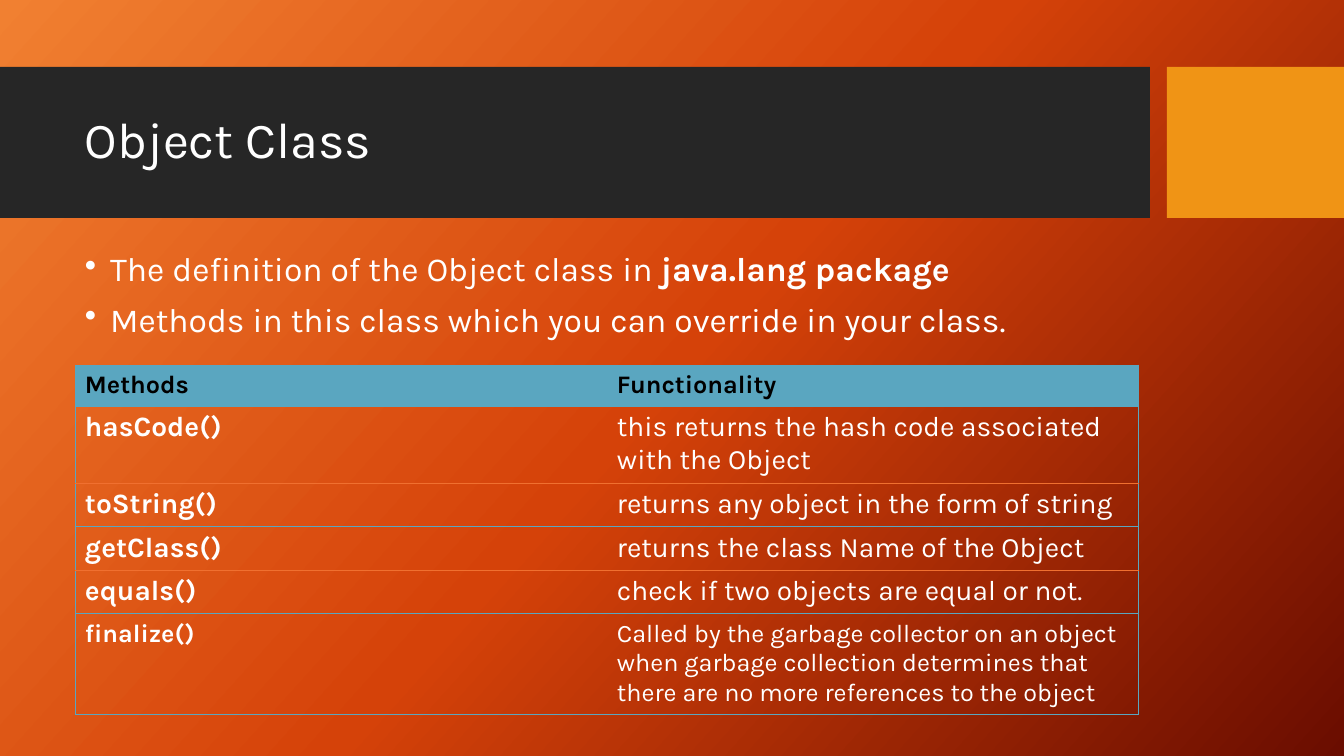
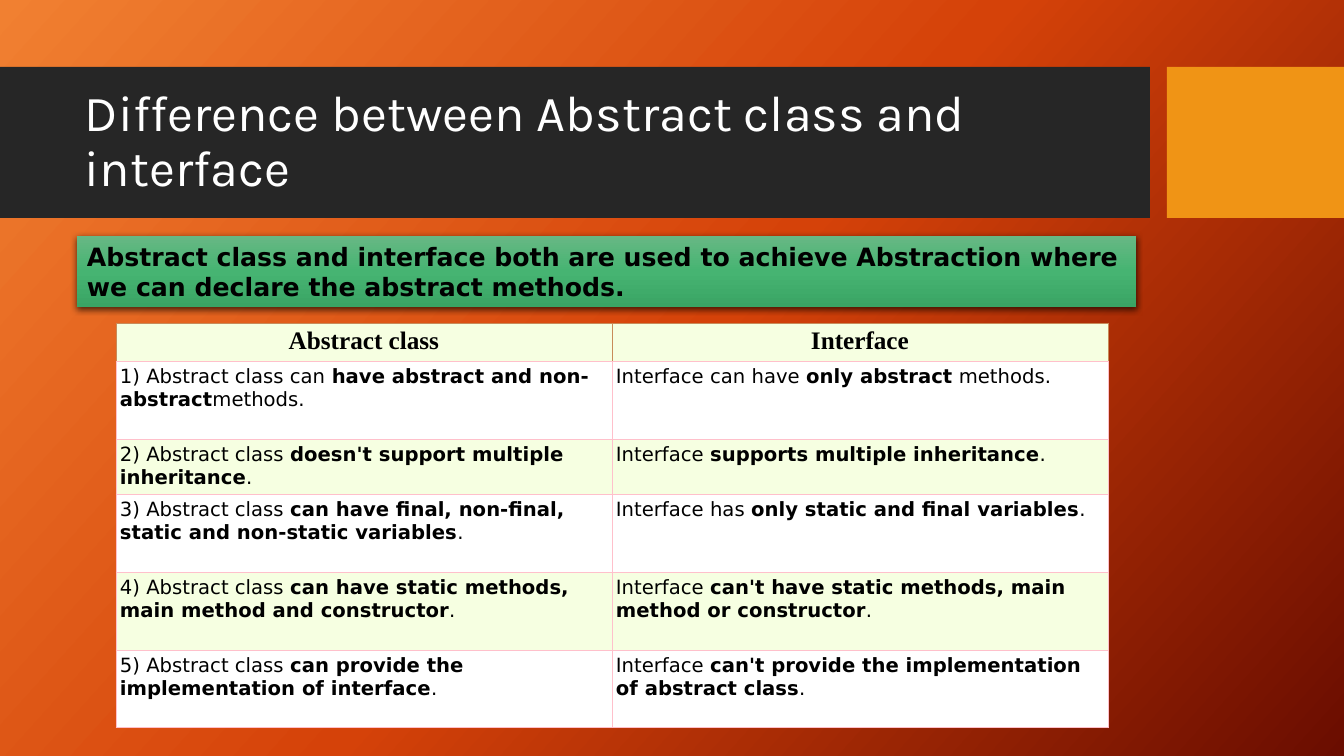
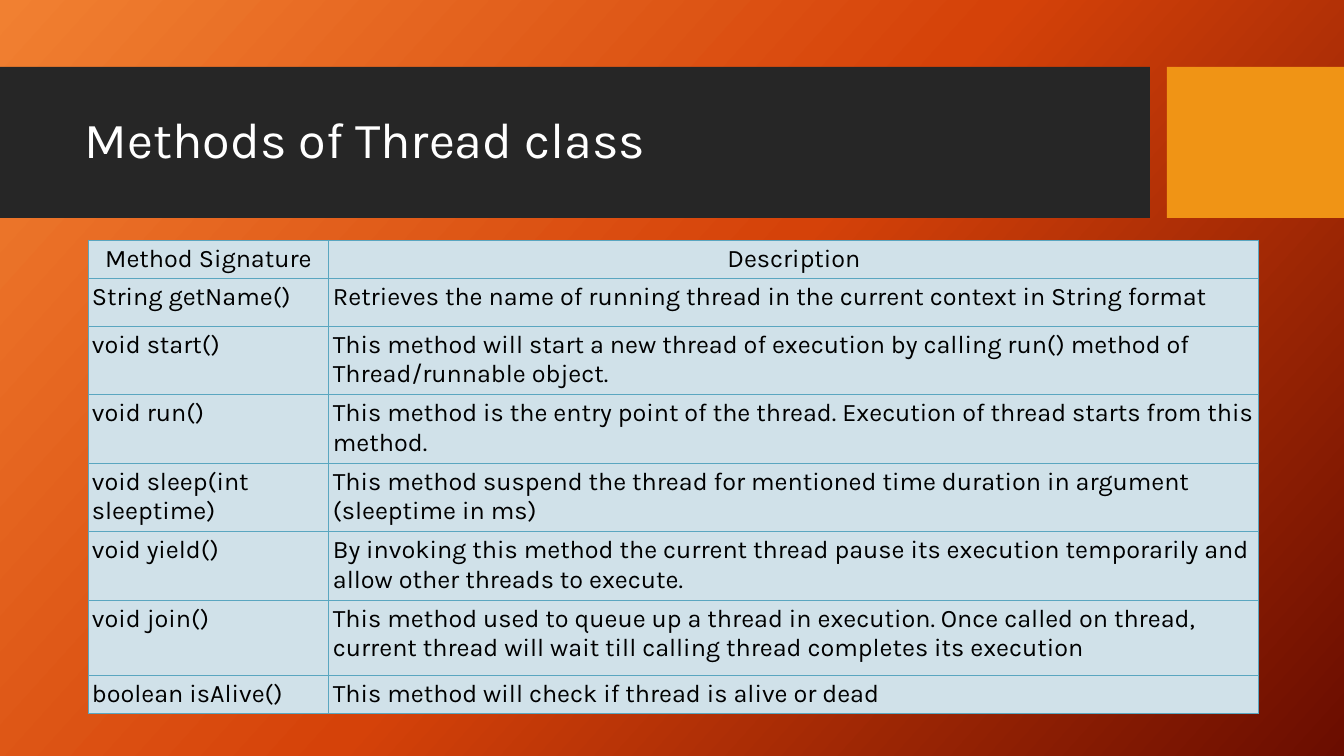
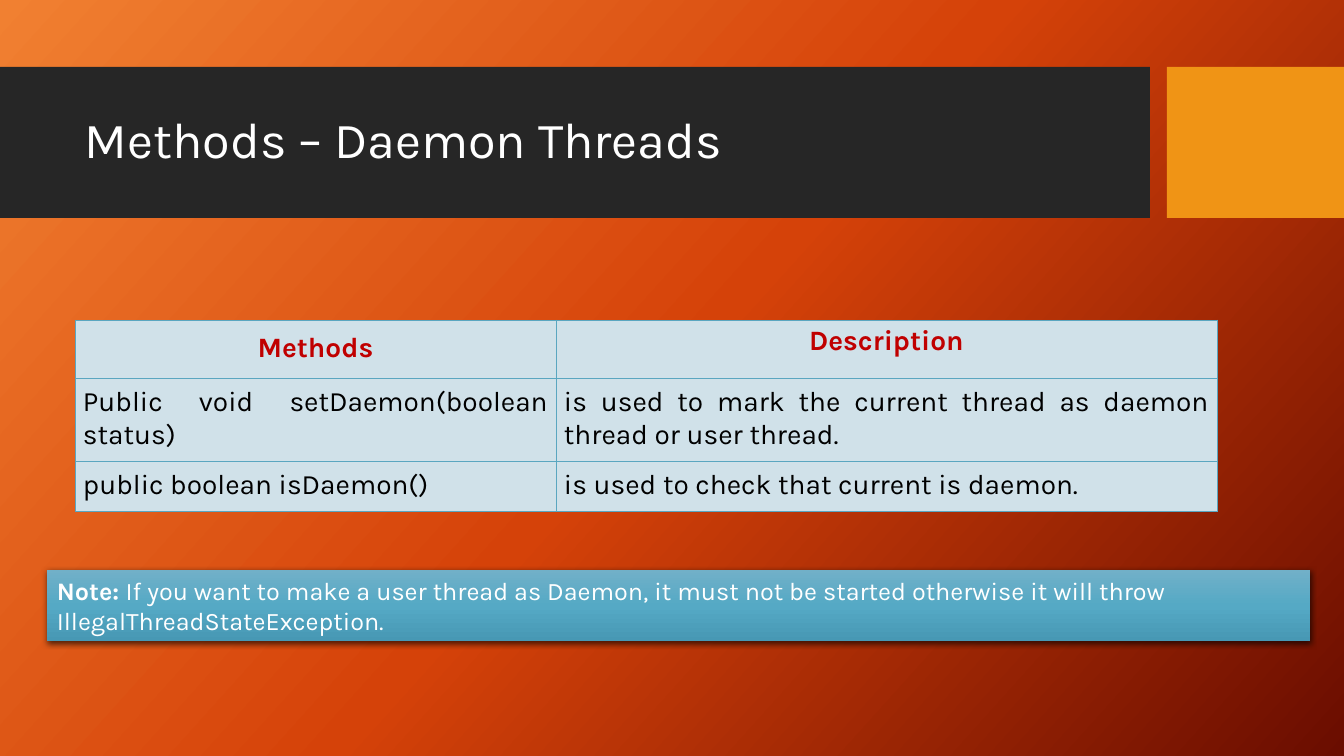
from copy import deepcopy

from lxml import etree
from pptx import Presentation
from pptx.dml.color import RGBColor
from pptx.enum.shapes import MSO_SHAPE
from pptx.enum.text import MSO_ANCHOR, MSO_AUTO_SIZE, PP_ALIGN
from pptx.oxml import parse_xml
from pptx.oxml.ns import nsdecls, qn
from pptx.util import Pt

PX = 914400 / 100.8
RECTANGLE = MSO_SHAPE.RECTANGLE
TOP, MIDDLE = MSO_ANCHOR.TOP, MSO_ANCHOR.MIDDLE
GROW = MSO_AUTO_SIZE.SHAPE_TO_FIT_TEXT
LEFT, CENTER, JUSTIFY = PP_ALIGN.LEFT, PP_ALIGN.CENTER, PP_ALIGN.JUSTIFY

WHITE = RGBColor(0xFF, 0xFF, 0xFF)
BLACK = RGBColor(0x00, 0x00, 0x00)
CHARCOAL = RGBColor(0x26, 0x26, 0x26)
AMBER = RGBColor(0xF0, 0x94, 0x15)
ORANGE = RGBColor(0xF0, 0x70, 0x30)
RED = RGBColor(0xC0, 0x00, 0x00)
BLUE = RGBColor(0x5A, 0xA6, 0xC0)
PALE_BLUE = RGBColor(0xD0, 0xE1, 0xE9)
PALE_GREEN = RGBColor(0xF6, 0xFF, 0xE1)
PINK = RGBColor(0xFF, 0xC0, 0xCB)
BROWN = RGBColor(0xC8, 0x8B, 0x59)
BACKDROP = [RGBColor(0xF1, 0x80, 0x31), RGBColor(0xD5, 0x42, 0x09), RGBColor(0x6A, 0x0D, 0x00)]
GREEN_BAR = [RGBColor(0x67, 0xB8, 0x84), RGBColor(0x46, 0xB4, 0x72), RGBColor(0x3A, 0xA4, 0x64)]
BLUE_BAR = [RGBColor(0x71, 0xB0, 0xC8), RGBColor(0x55, 0xA9, 0xC5), RGBColor(0x47, 0x98, 0xB4)]

KARLA, DEJAVU, TIMES = "Karla", "DejaVu Sans", "Times New Roman"
PLAIN_TABLE_STYLE = "{2D5ABB26-0587-4C30-8999-92F81FD0307C}"

BANDS = [(0, 1150, CHARCOAL), (1167, 177, AMBER)]

# Text between double asterisks is bold. "lines" holds the colours of the
# horizontal rules from top to bottom, "sides" those of the vertical ones by row.
SLIDES = [
    {
        "title": "Object Class",
        "bullets": [
            "The definition of the Object class in **java.lang package**",
            "Methods in this class which you can override in your class.",
        ],
        "at": (75, 365),
        "columns": [532, 532],
        "heights": [41, 76, 43, 43, 43, 98],
        "cells": [
            ("**Methods**", "**Functionality**"),
            ("**hasCode()**", "this returns the hash code associated with the Object"),
            ("**toString()**", "returns any object in the form of string"),
            ("**getClass()**", "returns the class Name of the Object"),
            ("**equals()**", "check if two objects are equal or not."),
            ("**finalize()**", "Called by the garbage collector on an object when garbage collection "
             "determines that there are no more references to the object"),
        ],
        "sizes": [18, 20, 20, 20, 20, 18],
        "header": (KARLA, BLACK, LEFT),
        "body": (KARLA, WHITE, LEFT),
        "fills": [BLUE] + [None] * 5,
        "lines": [BLUE, BLUE, ORANGE, BLUE, ORANGE, BLUE, BLUE],
        "sides": [BLUE] * 6,
        "inner_sides": False,
        "header_insets": [(10, 5), (10, 5)],
        "inset": (10, 5),
    },
    {
        "title": "Difference between Abstract class and interface",
        "at": (116, 323),
        "columns": [496, 496],
        "heights": [38, 78, 55, 78, 78, 77],
        "cells": [
            ("**Abstract class**", "**Interface**"),
            ("1) Abstract class can **have abstract and non-abstract**methods.",
             "Interface can have **only abstract** methods."),
            ("2) Abstract class **doesn't support multiple inheritance**.",
             "Interface **supports multiple inheritance**."),
            ("3) Abstract class **can have final, non-final, static and non-static variables**.",
             "Interface has **only static and final variables**."),
            ("4) Abstract class **can have static methods, main method and constructor**.",
             "Interface **can't have static methods, main method or constructor**."),
            ("5) Abstract class **can provide the implementation of interface**.",
             "Interface **can't provide the implementation of abstract class**."),
        ],
        "sizes": [18] + [14] * 5,
        "header": (TIMES, BLACK, CENTER),
        "body": (DEJAVU, BLACK, LEFT),
        "fills": [PALE_GREEN, WHITE] * 3,
        "lines": [BROWN] + [PINK] * 6,
        "sides": [BROWN] + [PINK] * 5,
        "inner_sides": True,
        "header_insets": [(4, 4), (4, 4)],
        "inset": (4, 4),
        "note": {
            "at": (77, 236, 1059, 71),
            "colors": GREEN_BAR,
            "font": (DEJAVU, BLACK),
            "text": "**Abstract class and interface both are used to achieve Abstraction where "
                    "we can declare the abstract methods.**",
        },
    },
    {
        "title": "Methods of Thread class",
        "at": (88, 240),
        "columns": [241, 930],
        "heights": [37, 48, 67, 67, 66, 67, 75, 37],
        "cells": [
            ("Method Signature", "Description"),
            ("String getName()",
             "Retrieves the name of running thread in the current context in String format"),
            ("void start()", "This method will start a new thread of execution by calling run() "
             "method of Thread/runnable object."),
            ("void run()", "This method is the entry point of the thread. Execution of thread "
             "starts from this method."),
            ("void sleep(int sleeptime)", "This method suspend the thread for mentioned time "
             "duration in argument (sleeptime in ms)"),
            ("void yield()", "By invoking this method the current thread pause its execution "
             "temporarily and allow other threads to execute."),
            ("void join()", "This method used to queue up a thread in execution. Once called on "
             "thread, current thread will wait till calling thread completes its execution"),
            ("boolean isAlive()", "This method will check if thread is alive or dead"),
        ],
        "sizes": [18] * 8,
        "header": (KARLA, BLACK, CENTER),
        "body": (KARLA, BLACK, LEFT),
        "fills": [PALE_BLUE] * 8,
        "lines": [BLUE] * 9,
        "sides": [BLUE] * 8,
        "inner_sides": True,
        "header_insets": [(4, 4), (4, 4)],
        "inset": (4, 4),
    },
    {
        "title": "Methods – Daemon Threads",
        "at": (75, 320),
        "columns": [481, 661],
        "heights": [58, 83, 50],
        "cells": [
            ("**Methods**", "**Description**"),
            ("Public void setDaemon(boolean status)",
             "is used to mark the current thread as daemon thread or user thread."),
            ("public boolean isDaemon()", "is used to check that current is daemon."),
        ],
        "sizes": [20] * 3,
        "header": (KARLA, RED, CENTER),
        "body": (KARLA, BLACK, JUSTIFY),
        "fills": [PALE_BLUE] * 3,
        "lines": [BLUE] * 4,
        "sides": [BLUE] * 3,
        "inner_sides": True,
        "header_insets": [(12, 12), (10, 5)],
        "inset": (8, 8),
        "note": {
            "at": (47, 570, 1263, 71),
            "colors": BLUE_BAR,
            "font": (KARLA, WHITE),
            "text": "**Note: **If you want to make a user thread as Daemon, it must not be started "
                    "otherwise it will throw IllegalThreadStateException.",
        },
    },
]


def write(para, text, size, font, color, align=LEFT):
    """Fill a paragraph; text between double asterisks becomes bold."""
    para.alignment = align
    para.font.size = Pt(size)
    para.font.name = font
    para.font.color.rgb = color
    for number, part in enumerate(text.split("**")):
        if part:
            span = para.add_run()
            span.text = part
            # Runs repeat the paragraph font, which some viewers do not inherit.
            span.font.size, span.font.name = Pt(size), font
            span.font.color.rgb = color
            span.font.bold = number % 2 == 1


def fill_gradient(fill, element, colors, angle):
    """Give three evenly spread stops; the angle runs clockwise."""
    fill.gradient()
    fill.gradient_angle = 360 - angle
    stop_list = element.xpath(".//a:gsLst")[0]
    stop_list.append(deepcopy(stop_list[-1]))
    for stop, color, position in zip(fill.gradient_stops, colors, (0, 0.5, 1)):
        stop.color.rgb = color
        stop.position = position


deck = Presentation()
deck.slide_width, deck.slide_height = int(1344 * PX), int(756 * PX)
master = deck.slide_master
fill_gradient(master.background.fill, master.element, BACKDROP, 42)

for content in SLIDES:
    page = deck.slides.add_slide(deck.slide_layouts[6])

    for left, width, color in BANDS:
        band = page.shapes.add_shape(
            RECTANGLE, *(int(v * PX) for v in (left, 67, width, 151)))
        band.shadow.inherit = False
        band.fill.solid()
        band.fill.fore_color.rgb = color
        band.line.fill.background()

    title = page.shapes.add_textbox(*(int(v * PX) for v in (75, 83, 1059, 119))).text_frame
    title.word_wrap = True
    title.vertical_anchor = MIDDLE
    title.paragraphs[0].line_spacing = 0.9
    write(title.paragraphs[0], content["title"], 36, KARLA, WHITE)

    if "bullets" in content:
        body = page.shapes.add_textbox(*(int(v * PX) for v in (75, 248, 1059, 102))).text_frame
        body.word_wrap = True
        for number, text in enumerate(content["bullets"]):
            para = body.add_paragraph() if number else body.paragraphs[0]
            para.line_spacing = 0.9
            para.space_before = Pt(10)
            write(para, text, 24, KARLA, WHITE)
            properties = para._p.get_or_add_pPr()
            properties.set("marL", "228600")
            properties.set("indent", "-228600")
            bullet = parse_xml(f'<a:buChar {nsdecls("a")} char="•"/>')
            properties.insert_element_before(bullet, "a:tabLst", "a:defRPr", "a:extLst")

    columns, heights, cells = content["columns"], content["heights"], content["cells"]
    size = (sum(columns), sum(heights))
    graphic = page.shapes.add_table(
        len(heights), len(columns), *(int(v * PX) for v in content["at"] + size))
    graphic._element.xpath(".//a:tableStyleId")[0].text = PLAIN_TABLE_STYLE
    table = graphic.table
    table.first_row = table.horz_banding = False
    for column, width in zip(table.columns, columns):
        column.width = int(width * PX)

    for row, height in enumerate(heights):
        table.rows[row].height = int(height * PX)
        font, color, align = content["body"] if row else content["header"]
        side = content["sides"][row]
        inner = side if content["inner_sides"] else None
        for col, text in enumerate(cells[row]):
            cell = table.cell(row, col)
            across, down = content["inset"] if row else content["header_insets"][col]
            cell.margin_left = cell.margin_right = int(across * PX)
            cell.margin_top = cell.margin_bottom = int(down * PX)
            write(cell.text_frame.paragraphs[0], text, content["sizes"][row], font, color, align)
            if content["fills"][row] is None:
                cell.fill.background()
            else:
                cell.fill.solid()
                cell.fill.fore_color.rgb = content["fills"][row]
            borders = {
                "lnL": inner if col else side,
                "lnR": side if col else inner,
                "lnT": content["lines"][row],
                "lnB": content["lines"][row + 1],
            }
            cell_properties = cell._tc.get_or_add_tcPr()
            for place, (tag, border) in enumerate(borders.items()):
                paint = "<a:noFill/>"
                if border is not None:
                    paint = f'<a:solidFill><a:srgbClr val="{border}"/></a:solidFill>'
                line = parse_xml(f'<a:{tag} {nsdecls("a")} w="9525">{paint}</a:{tag}>')
                cell_properties.insert(place, line)

    if "note" in content:
        note = content["note"]
        box = page.shapes.add_shape(RECTANGLE, *(int(v * PX) for v in note["at"]))
        box.line.fill.background()
        fill_gradient(box.fill, box._element, note["colors"], 90)
        box.shadow.inherit = False
        effects = box._element.spPr.find(qn("a:effectLst"))
        shadow = etree.SubElement(
            effects, qn("a:outerShdw"), blurRad="57150", dist="19050", dir="5400000",
            algn="ctr", rotWithShape="0")
        shadow_color = etree.SubElement(shadow, qn("a:srgbClr"), val="000000")
        etree.SubElement(shadow_color, qn("a:alpha"), val="63000")
        frame = box.text_frame
        frame.word_wrap = True
        frame.auto_size = GROW
        frame.vertical_anchor = TOP
        write(frame.paragraphs[0], note["text"], 18, *note["font"])

deck.save("out.pptx")
